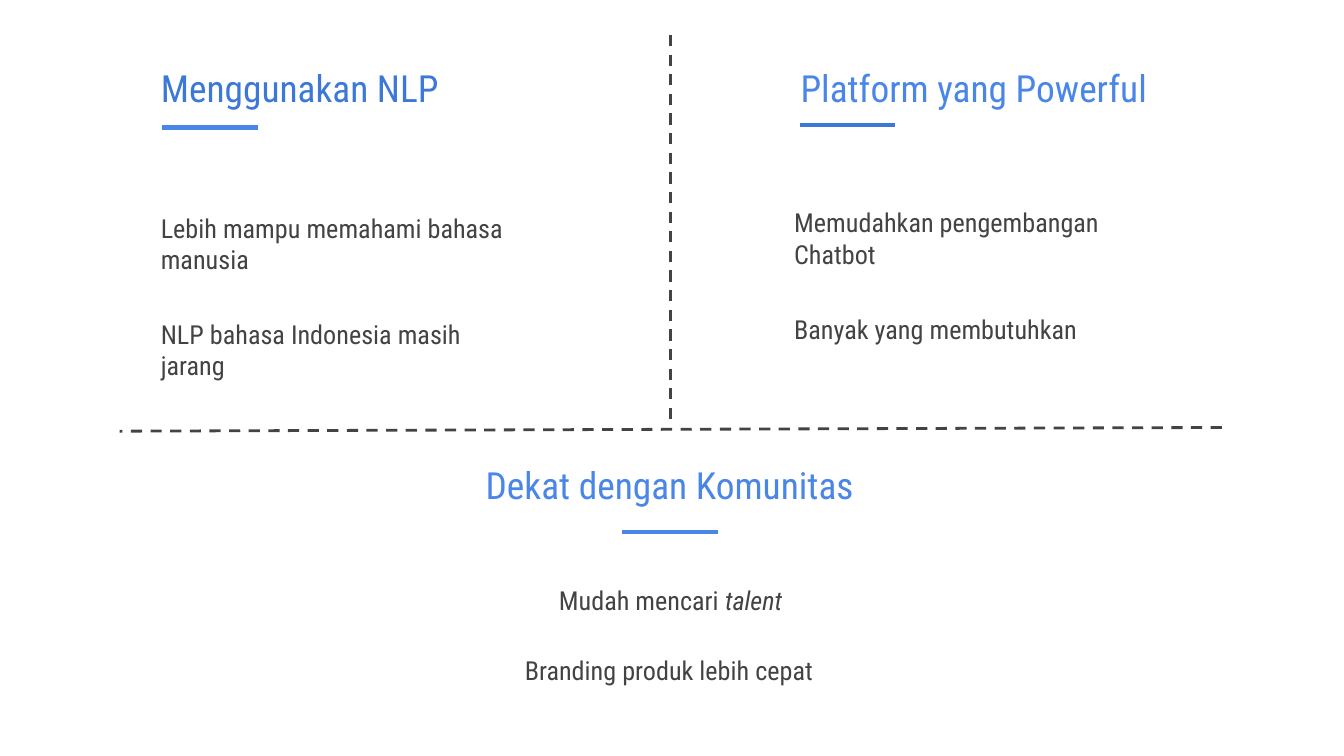
"""Build a slide with three reasons, divided by dashed lines."""
from lxml import etree
from pptx import Presentation
from pptx.dml.color import RGBColor
from pptx.enum.dml import MSO_LINE
from pptx.enum.shapes import MSO_CONNECTOR
from pptx.enum.text import PP_ALIGN
from pptx.oxml.ns import qn
from pptx.util import Cm, Pt

LEFT, CENTER = PP_ALIGN.LEFT, PP_ALIGN.CENTER
DASH, SOLID = MSO_LINE.DASH, MSO_LINE.SOLID
STRAIGHT = MSO_CONNECTOR.STRAIGHT
FONT = "Roboto Condensed"
COLORS = {"blue": "4A86E8", "deep_blue": "3C78D8", "gray": "434343"}
UNDERLINE_LENGTH = 1.8

presentation = Presentation()
presentation.slide_width = Cm(25.4)
presentation.slide_height = Cm(14.29)
slide = presentation.slides.add_slide(presentation.slide_layouts[6])


def add_text(text, *, left, top, width, height=1.12, size=14, color="gray", align=LEFT, italic_end=""):
    shape = slide.shapes.add_textbox(Cm(left), Cm(top), Cm(width), Cm(height))
    frame = shape.text_frame
    frame.word_wrap = True
    frame.margin_left = frame.margin_right = Cm(0.25)
    frame.margin_top = frame.margin_bottom = Cm(0.25)
    paragraph = frame.paragraphs[0]
    paragraph.alignment = align
    for content, italic in ((text, False), (italic_end, True)):
        if content:
            run = paragraph.add_run()
            run.text = content
            run.font.name = FONT
            run.font.size = Pt(size)
            run.font.italic = italic
            run.font.color.rgb = RGBColor.from_string(COLORS[color])


def add_line(start, end, *, color="gray", width=1.5, dash=DASH):
    connector = slide.shapes.add_connector(STRAIGHT, *(Cm(value) for value in start + end))
    connector.line.color.rgb = RGBColor.from_string(COLORS[color])
    connector.line.width = Pt(width)
    connector.line.dash_style = dash
    etree.SubElement(connector._element.spPr, qn("a:effectLst"))


headings = [
    ("Menggunakan NLP", 2.79, 0.99, 7.65, "deep_blue", LEFT),
    ("Platform yang Powerful", 14.88, 0.99, 8.51, "blue", LEFT),
    ("Dekat dengan Komunitas", 3.07, 8.48, 19.18, "blue", CENTER),
]
for text, left, top, width, color, align in headings:
    add_text(text, left=left, top=top, width=width, height=1.37, size=20, color=color, align=align)

underlines = [(3.07, 2.41, "blue"), (15.11, 2.36, "deep_blue"), (11.76, 10.06, "blue")]
for left, top, color in underlines:
    add_line((left, top), (left + UNDERLINE_LENGTH, top), color=color, width=2.25, dash=SOLID)

columns = [
    (2.79, 3.76, ["Lebih mampu memahami bahasa manusia", "NLP bahasa Indonesia masih jarang"]),
    (14.76, 3.66, ["Memudahkan pengembangan Chatbot", "Banyak yang membutuhkan"]),
]
for left, top, reasons in columns:
    for row, (text, width) in enumerate(zip(reasons, (7.01, 6.5))):
        add_text(text, left=left, top=top + 2.01 * row, width=width)

add_text("Mudah mencari ", left=2.26, top=10.8, width=20.83, align=CENTER, italic_end="talent")
add_text("Branding produk lebih cepat", left=2.08, top=12.12, width=21.13, align=CENTER)

add_line((12.67, 0.66), (12.67, 7.98))
add_line((23.09, 8.08), (2.26, 8.15))

presentation.save("out.pptx")
